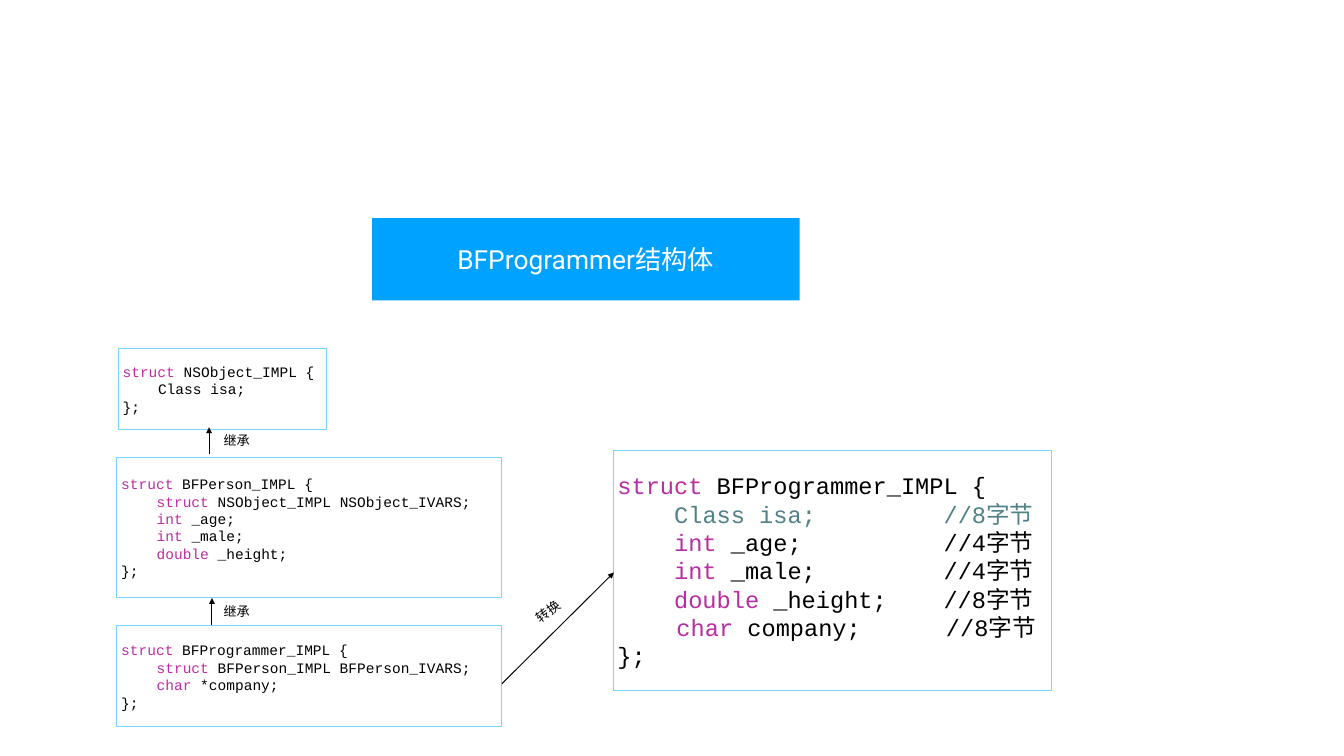
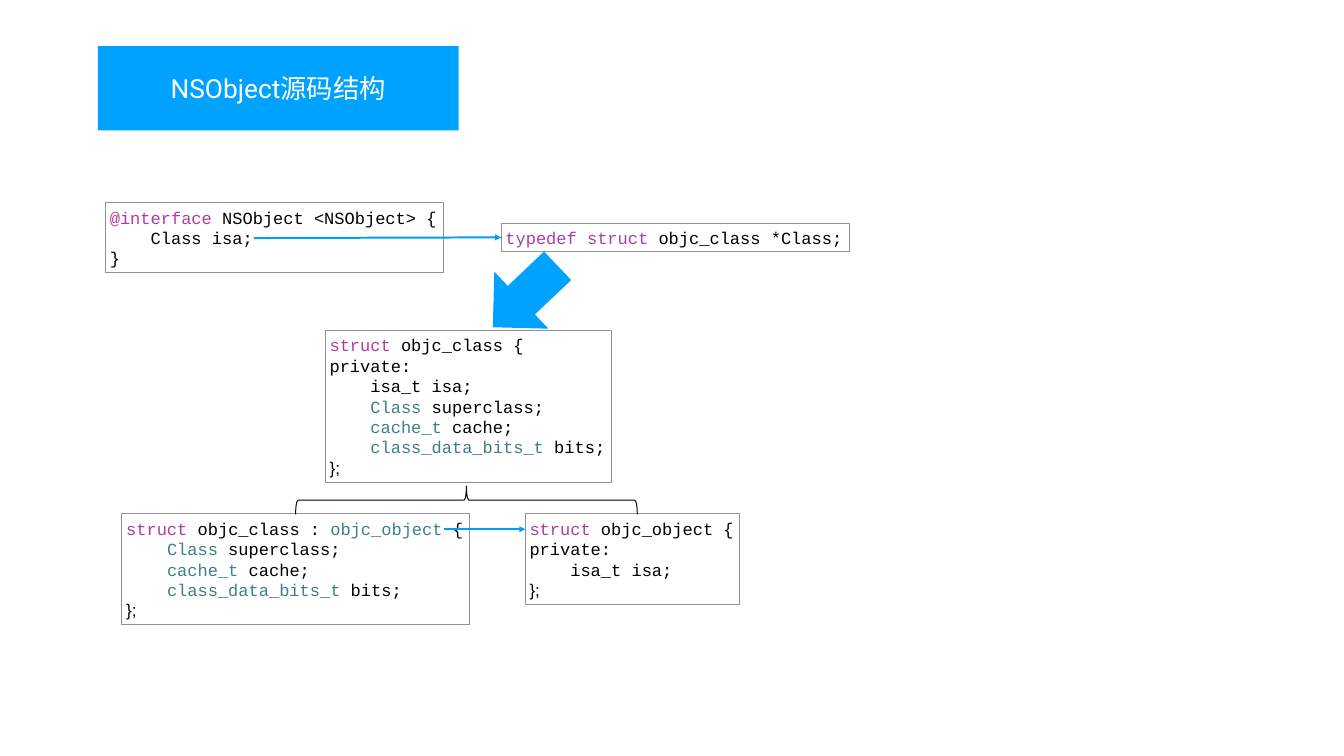
"""Build two slides on the memory layout of Objective-C objects."""
from lxml.etree import SubElement
from pptx import Presentation
from pptx.dml.color import RGBColor
from pptx.enum.shapes import MSO_CONNECTOR as CONNECTOR, MSO_SHAPE as SHAPE
from pptx.enum.text import MSO_ANCHOR as ANCHOR, MSO_AUTO_SIZE as AUTO_SIZE, PP_ALIGN as ALIGN
from pptx.oxml.ns import qn
from pptx.util import Inches, Pt

rgb = RGBColor.from_string
BLUE, BLACK, WHITE = "00A2FF", "000000", "FFFFFF"
SKY, GREY, ARROW_BLUE = "76D6FF", "929292", "009EF9"
MONO, SANS, HEAD = "Courier New", "Arial", "Roboto"

CODE = (MONO, BLACK)
PLAIN = (SANS, BLACK)
KEYWORD = (MONO, "BA2DA2")
DIRECTIVE = (MONO, "AD3DA4")
TYPE = (MONO, "3E8087")
MUTED, MUTED_PLAIN = (MONO, "4F8187"), (SANS, "4F8187")
TITLE, LABEL = (HEAD, WHITE), (HEAD, BLACK)


def write_text(shape, lines, size, align=ALIGN.LEFT, wrap=True):
    frame = shape.text_frame
    frame.word_wrap = wrap
    frame.auto_size = AUTO_SIZE.NONE if wrap else AUTO_SIZE.SHAPE_TO_FIT_TEXT
    frame.vertical_anchor = ANCHOR.MIDDLE
    frame.margin_left = frame.margin_right = Inches(0.06)
    frame.margin_top = frame.margin_bottom = Inches(0.06)
    for index, line in enumerate(lines):
        paragraph = frame.paragraphs[0] if index == 0 else frame.add_paragraph()
        paragraph.alignment = align
        if align == ALIGN.LEFT:
            tabs = SubElement(paragraph._p.get_or_add_pPr(), qn("a:tabLst"))
            SubElement(tabs, qn("a:tab"), pos=str(Inches(0.5)), algn="l")
        for text, (font, color) in line:
            run = paragraph.add_run()
            run.text = text
            run.font.name = font
            run.font.size = Pt(size)
            run.font.color.rgb = rgb(color)


def add_block(slide, kind, place, fill=None, line=None, rotation=0):
    shape = slide.shapes.add_shape(kind, *map(Inches, place))
    shape.shadow.inherit = False
    shape.rotation = rotation
    if fill:
        shape.fill.solid()
        shape.fill.fore_color.rgb = rgb(fill)
    else:
        shape.fill.background()
    if line:
        shape.line.color.rgb = rgb(line)
        shape.line.width = Pt(1)
    else:
        shape.line.fill.background()
    return shape


presentation = Presentation()
presentation.slide_width = Inches(18.96)
presentation.slide_height = Inches(10.67)

converted = [
    [("struct", KEYWORD), (" BFProgrammer_IMPL {", CODE)],
    [("    Class isa;         //8", MUTED), ("字节", MUTED_PLAIN)],
    [("    ", CODE), ("int", KEYWORD), (" _age;          //4", CODE), ("字节", PLAIN)],
    [("    ", CODE), ("int", KEYWORD), (" _male;         //4", CODE), ("字节", PLAIN)],
    [("    ", CODE), ("double", KEYWORD), (" _height;    //8", CODE), ("字节", PLAIN)],
    [("         ", PLAIN), ("char", KEYWORD), (" company;      //8", CODE), ("字节", PLAIN)],
    [("};", CODE)],
]
programmer = [
    [("struct", KEYWORD), (" BFProgrammer_IMPL {", CODE)],
    [("\t", CODE), ("struct", KEYWORD), (" BFPerson_IMPL BFPerson_IVARS;", CODE)],
    [("\t", CODE), ("char", KEYWORD), (" *company;", CODE)],
    [("};", CODE)],
]
root_object = [
    [("struct", KEYWORD), (" NSObject_IMPL {", CODE)],
    [("\tClass isa;", CODE)],
    [("};", CODE)],
]
person = [
    [("struct", KEYWORD), (" BFPerson_IMPL {", CODE)],
    [("\t", CODE), ("struct", KEYWORD), (" NSObject_IMPL NSObject_IVARS;", CODE)],
    [("\t", CODE), ("int", KEYWORD), (" _age;", CODE)],
    [("\t", CODE), ("int", KEYWORD), (" _male;", CODE)],
    [("\t", CODE), ("double", KEYWORD), (" _height;", CODE)],
    [("};", CODE)],
]

interface = [
    [("@interface", DIRECTIVE), (" NSObject <NSObject> {", CODE)],
    [("    Class isa;", CODE)],
    [("}", CODE)],
]
typedef = [[("typedef struct", DIRECTIVE), (" objc_class *Class;", CODE)]]
class_members = [
    [("    ", CODE), ("Class", TYPE), (" superclass;", CODE)],
    [("    ", CODE), ("cache_t", TYPE), (" cache;", CODE)],
    [("    ", CODE), ("class_data_bits_t", TYPE), (" bits;", CODE)],
]
isa_members = [[("private:", CODE)], [("    isa_t isa;", CODE)]]
closing = [[("};", PLAIN)]]
derived_class = [
    [("struct", DIRECTIVE), (" objc_class : ", CODE), ("objc_object", TYPE), (" {", CODE)],
    *class_members, *closing,
]
base_object = [[("struct", DIRECTIVE), (" objc_object {", CODE)], *isa_members, *closing]
full_class = [
    [("struct", DIRECTIVE), (" objc_class {", CODE)],
    *isa_members, *class_members, *closing,
]

pages = [
    {
        "title": ("BFProgrammer结构体", (5.25, 3.08, 6.03, 1.16)),
        "fill": WHITE, "line": SKY, "wrap": True,
        "code": [
            (converted, (8.65, 6.36, 6.18, 3.38), 24),
            (programmer, (1.65, 8.83, 5.43, 1.43), 14.7),
            (root_object, (1.67, 4.92, 2.93, 1.14), 14.7),
            (person, (1.65, 6.46, 5.42, 1.97), 14.7),
        ],
        "arrow_style": (BLACK, 1),
        "arrows": [(2.95, 6.41, 2.95, 6.03), (2.99, 8.82, 2.99, 8.44), (7.08, 9.65, 8.66, 8.08)],
        "labels": [("继承", 2.87, 8.44, 0), ("继承", 2.87, 6.03, 0), ("转换", 7.26, 8.44, 323)],
        "symbols": [],
    },
    {
        "title": ("NSObject源码结构", (1.38, 0.65, 5.09, 1.19)),
        "fill": None, "line": GREY, "wrap": False,
        "code": [
            (interface, (1.49, 2.86, 4.77, 0.99), 17.3),
            (typedef, (7.07, 3.15, 4.91, 0.4), 17.3),
            (derived_class, (1.72, 7.25, 4.91, 1.57), 17.3),
            (base_object, (7.41, 7.25, 3.02, 1.28), 17.3),
            (full_class, (4.59, 4.66, 4.04, 2.15), 17.3),
        ],
        "arrow_style": (ARROW_BLUE, 2),
        "arrows": [(3.58, 3.36, 7.07, 3.35), (6.27, 7.47, 7.41, 7.47)],
        "labels": [],
        "symbols": [
            (SHAPE.LEFT_ARROW, (6.78, 3.63, 1.26, 1.11), BLUE, None, 316.5),
            (SHAPE.RIGHT_BRACE, (6.38, 4.65, 0.4, 4.82), None, BLACK, 270),
        ],
    },
]

for page in pages:
    slide = presentation.slides.add_slide(presentation.slide_layouts[6])

    for lines, place, size in page["code"]:
        box = add_block(slide, SHAPE.RECTANGLE, place, page["fill"], page["line"])
        write_text(box, lines, size, wrap=page["wrap"])

    color, width = page["arrow_style"]
    for ends in page["arrows"]:
        arrow = slide.shapes.add_connector(CONNECTOR.STRAIGHT, *map(Inches, ends))
        arrow.line.color.rgb = rgb(color)
        arrow.line.width = Pt(width)
        SubElement(arrow.line._get_or_add_ln(), qn("a:tailEnd"), type="triangle")
        SubElement(arrow._element.spPr, qn("a:effectLst"))

    for text, left, top, rotation in page["labels"]:
        label = slide.shapes.add_textbox(Inches(left), Inches(top), Inches(0.94), Inches(0.38))
        label.rotation = rotation
        write_text(label, [[(text, LABEL)]], 13.3, ALIGN.CENTER)

    for symbol in page["symbols"]:
        add_block(slide, *symbol)

    text, place = page["title"]
    banner = add_block(slide, SHAPE.RECTANGLE, place, BLUE)
    write_text(banner, [[(text, TITLE)]], 26.7, ALIGN.CENTER)

presentation.save("out.pptx")
